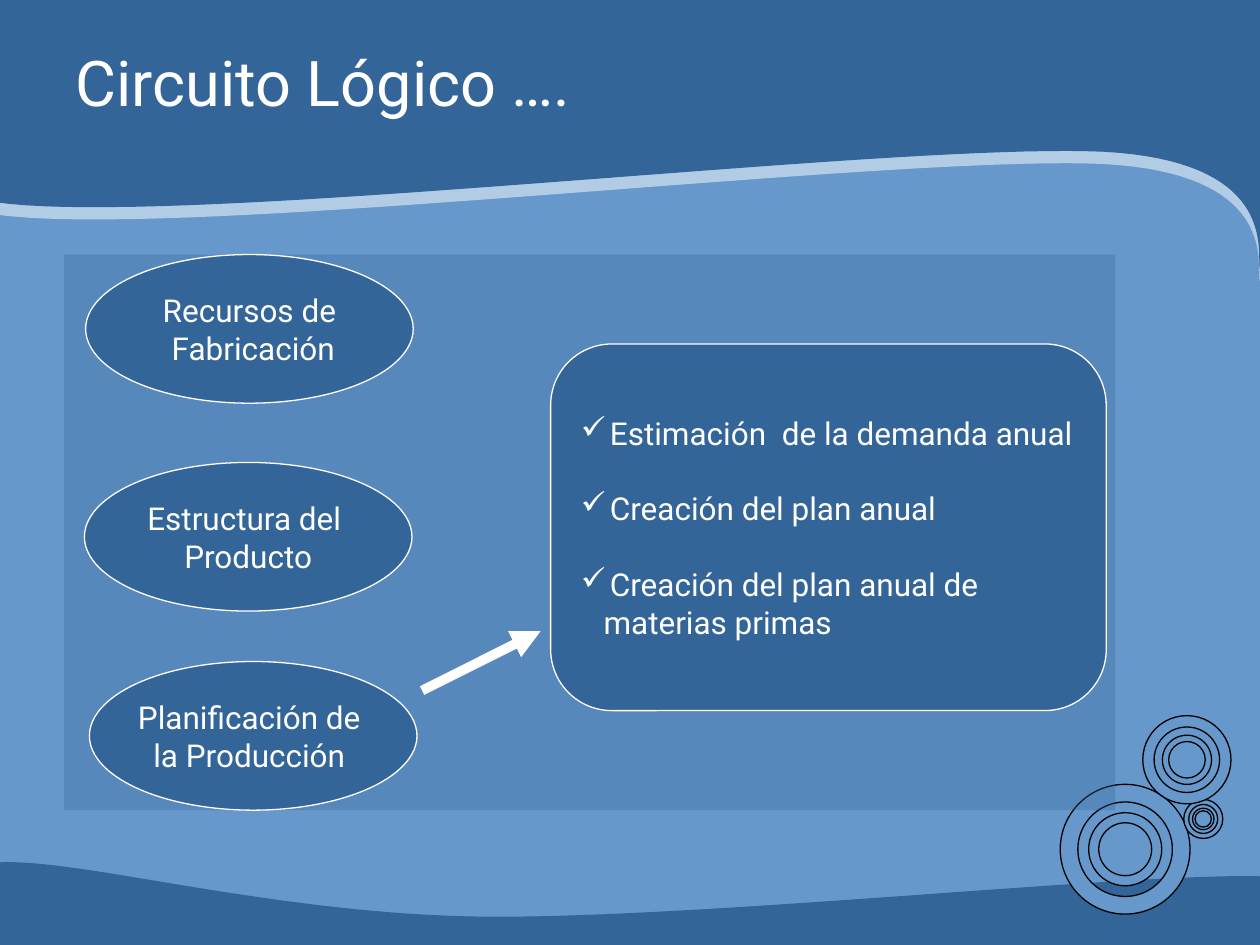
from dataclasses import dataclass

from lxml import etree
from pptx import Presentation
from pptx import util as u
from pptx.dml.color import RGBColor
from pptx.enum import shapes, text
from pptx.oxml.ns import qn

COLORS = {"sky": "6698CC", "navy": "336599", "pale": "B3CCE6", "white": "FFFFFF", "black": "000000"}
FONT = "Roboto"


@dataclass
class Stage:
    left: float
    top: float
    lines: tuple[str, ...]


@dataclass
class Ring:
    center_x: float
    center_y: float
    diameter: float
    band: float


@dataclass
class Wave:
    start: tuple[float, float]
    edges: list[tuple[float, ...]]


STAGES = [
    Stage(0.68, 2.02, ("Recursos de", " Fabricación")),
    Stage(0.67, 3.67, ("Estructura del ", "Producto")),
    Stage(0.71, 5.25, ("Planificación de ", "la Producción ")),
]
RINGS = [
    Ring(8.93, 6.74, 1.03, 0.14), Ring(8.93, 6.74, 0.58, 0.08),
    Ring(9.55, 6.5, 0.31, 0.04), Ring(9.55, 6.5, 0.17, 0.02),
    Ring(9.42, 6.03, 0.7, 0.09), Ring(9.42, 6.03, 0.39, 0.05),
]
FOOTER = Wave((10, 7.51), [
    (-0.01, 7.53), (-0.02, 6.85),
    (0.62, 6.81, 2.16, 7.26, 3.83, 7.28), (5.5, 7.3, 8.98, 6.93, 10.01, 6.96),
])
HEADER = Wave((-0.03, -0.04), [
    (10.06, -0.05), (10.06, 2.12),
    (9.84, 2.33, 10.44, 1.29, 8.76, 1.2), (7.08, 1.12, 1.43, 1.81, -0.04, 1.6),
])
TASKS = ["Estimación  de la demanda anual", "Creación del plan anual", "Creación del plan anual de"]


def color(name: str) -> RGBColor:
    return RGBColor.from_string(COLORS[name])


def paint(shape, fill: str, line: str | None) -> None:
    shape.shadow.inherit = False
    shape.fill.solid()
    shape.fill.fore_color.rgb = color(fill)
    if line:
        shape.line.color.rgb = color(line)
        shape.line.width = u.Pt(0.75)
    else:
        shape.line.fill.background()


def add_preset(slide, kind, left: float, top: float, width: float, height: float,
               fill: str = "navy", line: str | None = "white"):
    shape = slide.shapes.add_shape(kind, *map(u.Inches, (left, top, width, height)))
    paint(shape, fill, line)
    return shape


def add_wave(slide, wave: Wave, steps: int = 40):
    points = [wave.start]
    for edge in wave.edges:
        if len(edge) == 2:
            points.append(edge)
            continue
        controls = [points[-1], edge[:2], edge[2:4], edge[4:]]
        for t in (step / steps for step in range(1, steps + 1)):
            weights = ((1 - t) ** 3, 3 * t * (1 - t) ** 2, 3 * t * t * (1 - t), t ** 3)
            points.append(tuple(sum(w * c[axis] for w, c in zip(weights, controls)) for axis in (0, 1)))
    outline = [(u.Inches(x), u.Inches(y)) for x, y in points]
    builder = slide.shapes.build_freeform(*outline[0])
    builder.add_line_segments(outline[1:], close=True)
    shape = builder.convert_to_shape()
    paint(shape, "navy", "navy")
    return shape


def cast_shadow(shape, name: str, distance: float) -> None:
    effects = shape._element.spPr.find(qn("a:effectLst"))
    shadow = etree.SubElement(effects, qn("a:outerShdw"), blurRad="0", dist=str(u.Pt(distance)),
                              dir="5400000", algn="ctr", rotWithShape="0")
    etree.SubElement(shadow, qn("a:srgbClr"), val=COLORS[name])


def write_lines(shape, lines, size: float, align, wrap: bool = False) -> list:
    frame = shape.text_frame
    frame.word_wrap = wrap
    frame.vertical_anchor = text.MSO_ANCHOR.MIDDLE
    frame.text = "\n".join(lines)
    for paragraph in frame.paragraphs:
        paragraph.alignment = align
        paragraph.font.name = FONT
        paragraph.font.size = u.Pt(size)
        paragraph.font.color.rgb = color("white")
    return list(frame.paragraphs)


def add_check(paragraph, hang: float) -> None:
    properties = paragraph._p.get_or_add_pPr()
    properties.set("marL", str(u.Inches(hang)))
    properties.set("indent", str(-u.Inches(hang)))
    bullet = etree.Element(qn("a:buChar"), char="✓")
    properties.find(qn("a:defRPr")).addprevious(bullet)
    tint = etree.Element(qn("a:buClr"))
    etree.SubElement(tint, qn("a:srgbClr"), val=COLORS["white"])
    bullet.addprevious(tint)


def add_tasks(slide) -> None:
    card = add_preset(slide, shapes.MSO_SHAPE.ROUNDED_RECTANGLE, 4.37, 2.73, 4.41, 2.91)
    card.adjustments[0] = 0.167
    *tasks, continuation = write_lines(card, [*TASKS, "materias primas"], 18, text.PP_ALIGN.LEFT)
    for index, task in enumerate(tasks):
        add_check(task, 0.23)
        if index:
            task.space_before = u.Pt(21.5)
    continuation._p.get_or_add_pPr().set("marL", str(u.Inches(0.18)))


def add_arrow(slide, start: tuple[float, float], end: tuple[float, float]) -> None:
    arrow = slide.shapes.add_connector(shapes.MSO_CONNECTOR.STRAIGHT, *map(u.Inches, (*start, *end)))
    arrow.line.color.rgb = color("white")
    arrow.line.width = u.Pt(5.5)
    etree.SubElement(arrow.line._get_or_add_ln(), qn("a:tailEnd"), type="triangle")
    etree.SubElement(arrow._element.spPr, qn("a:effectLst"))


def main() -> None:
    """Build the logical circuit slide and save it."""
    deck = Presentation()
    deck.slide_width, deck.slide_height = u.Inches(10), u.Inches(7.5)
    slide = deck.slides.add_slide(deck.slide_layouts[6])
    slide.background.fill.solid()
    slide.background.fill.fore_color.rgb = color("sky")

    add_wave(slide, FOOTER)
    cast_shadow(add_wave(slide, HEADER), "pale", 7)
    for ring in RINGS:
        radius = ring.diameter / 2
        donut = add_preset(slide, shapes.MSO_SHAPE.DONUT, ring.center_x - radius, ring.center_y - radius,
                           ring.diameter, ring.diameter, "sky", "black")
        donut.adjustments[0] = ring.band / ring.diameter

    title = slide.shapes.add_textbox(*map(u.Inches, (0.5, 0.21, 8.87, 0.87)))
    write_lines(title, ["Circuito Lógico …."], 36, text.PP_ALIGN.LEFT, wrap=True)

    panel = add_preset(slide, shapes.MSO_SHAPE.RECTANGLE, 0.51, 2.02, 8.34, 4.41, line=None)
    panel_tint = panel._element.spPr.find(qn("a:solidFill"))[0]
    etree.SubElement(panel_tint, qn("a:alpha"), val="30000")
    for stage in STAGES:
        ellipse = add_preset(slide, shapes.MSO_SHAPE.OVAL, stage.left, stage.top, 2.6, 1.18)
        write_lines(ellipse, stage.lines, 18, text.PP_ALIGN.CENTER)
    add_tasks(slide)
    add_arrow(slide, (3.35, 5.48), (4.29, 5.01))
    deck.save("out.pptx")


if __name__ == "__main__":
    main()
